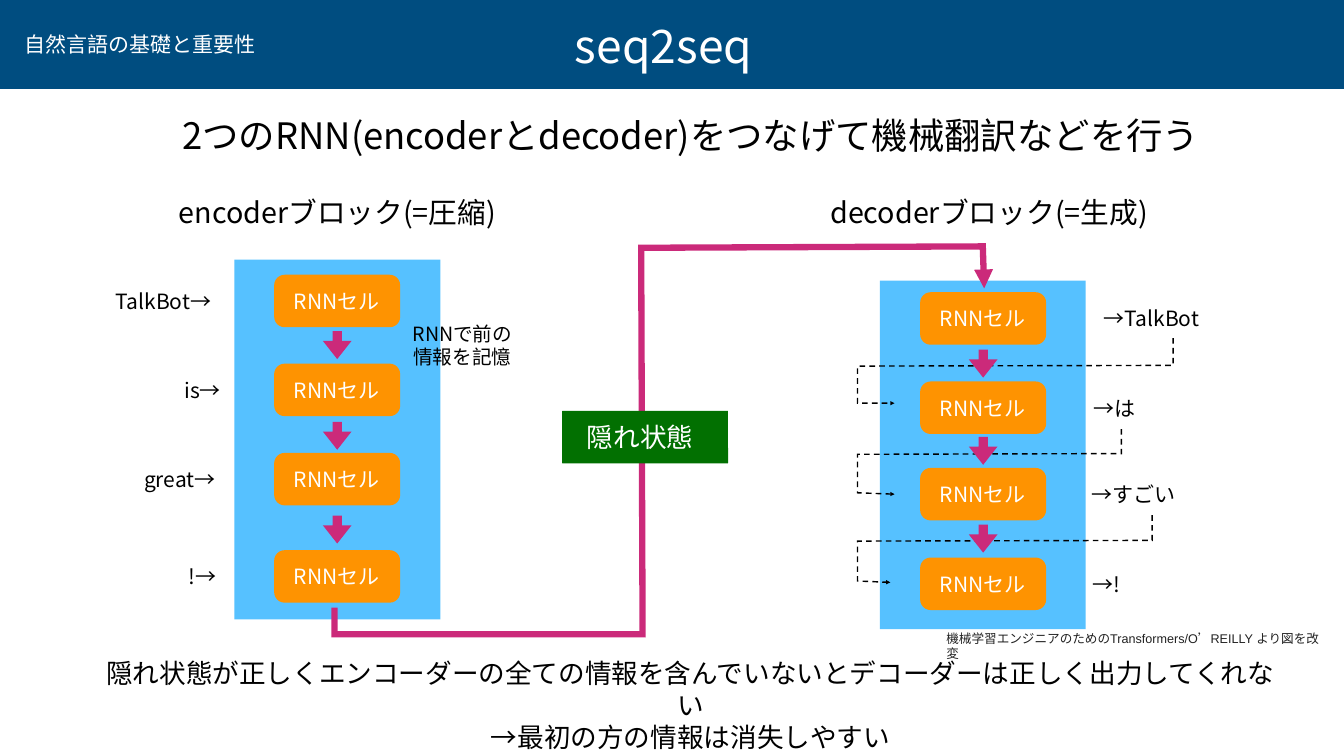
from dataclasses import dataclass
from typing import NamedTuple

from lxml import etree
from pptx import Presentation
from pptx import util as u
from pptx.dml.color import RGBColor
from pptx.enum import dml, shapes, text
from pptx.oxml import ns

Pt = u.Pt
Kind = shapes.MSO_SHAPE
Point = tuple[float, float]


@dataclass(frozen=True)
class Theme:
    navy: str = "004D80"
    sky: str = "56C1FF"
    orange: str = "FE9301"
    pink: str = "CB2A7A"
    green: str = "027001"
    white: str = "FFFFFF"
    black: str = "000000"
    gray: str = "222222"
    font: str = "Noto Sans CJK JP"
    plain: str = "Arial"
    title: float = 66
    lead: float = 52
    head: float = 41
    body: float = 38
    label: float = 30
    note: float = 28
    cite: float = 18


class Box(NamedTuple):
    x: float
    y: float
    w: float
    h: float


class Label(NamedTuple):
    x: float
    w: float
    words: str


@dataclass(frozen=True)
class Block:
    panel: Box
    left: float
    tops: list[float]
    arrows: list[float]
    labels: list[Label]
    loops: list[list[Point]]


T = Theme()
CELL_W, CELL_H = 180, 75
TEXT_H = 38
ARROW_W, ARROW_H = 40, 41


def draw_shape(slide, kind, box: Box, color: str, adjust=(), turn: float = 0):
    shape = slide.shapes.add_shape(kind, *map(Pt, box))
    shape.shadow.inherit = False
    shape.fill.solid()
    shape.fill.fore_color.rgb = RGBColor.from_string(color)
    shape.line.fill.background()
    for i, value in enumerate(adjust):
        shape.adjustments[i] = value
    shape.rotation = turn


def add_text(slide, box: Box, lines: list[str], size: float, color: str = T.black,
             wrap: bool = False, align=text.PP_ALIGN.CENTER, font: str = T.font):
    frame = slide.shapes.add_textbox(*map(Pt, box)).text_frame
    frame.word_wrap = wrap
    frame.auto_size = text.MSO_AUTO_SIZE.NONE
    frame.vertical_anchor = text.MSO_ANCHOR.MIDDLE
    frame.margin_left = frame.margin_right = Pt(4)
    frame.margin_top = frame.margin_bottom = Pt(4)
    for i, words in enumerate(lines):
        para = frame.add_paragraph() if i else frame.paragraphs[0]
        para.alignment = align
        run = para.add_run()
        run.text = words
        run.font.size = Pt(size)
        run.font.name = font
        run.font.color.rgb = RGBColor.from_string(color)
        east = etree.SubElement(run.font._element, ns.qn("a:ea"))
        east.set("typeface", T.font)


def draw_route(slide, points: list[Point], color: str, width: float, dash: bool = False):
    pen = slide.shapes.build_freeform(*points[0], scale=Pt(1))
    pen.add_line_segments(points[1:], close=False)
    route = pen.convert_to_shape()
    route.shadow.inherit = False
    route.fill.background()
    route.line.color.rgb = RGBColor.from_string(color)
    route.line.width = Pt(width)
    if dash:
        route.line.dash_style = dml.MSO_LINE.DASH
    line = route.line._get_or_add_ln()
    etree.SubElement(line, ns.qn("a:miter")).set("lim", "400000")
    etree.SubElement(line, ns.qn("a:tailEnd")).set("type", "triangle")


def draw_block(slide, block: Block):
    draw_shape(slide, Kind.RECTANGLE, block.panel, T.sky)
    for top, label in zip(block.tops, block.labels):
        cell = Box(block.left, top, CELL_W, CELL_H)
        draw_shape(slide, Kind.ROUNDED_RECTANGLE, cell, T.orange, [0.2])
        row = top + (CELL_H - TEXT_H) / 2
        add_text(slide, Box(block.left + 19, row, 141, TEXT_H), ["RNNセル"], T.label, T.white)
        add_text(slide, Box(label.x, row, label.w, TEXT_H), [label.words], T.label)
    for loop in block.loops:
        draw_route(slide, loop, T.black, 2, dash=True)
    mid = block.left + (CELL_W - ARROW_W) / 2
    for top in block.arrows:
        draw_shape(slide, Kind.RIGHT_ARROW, Box(mid, top, ARROW_W, ARROW_H), T.pink,
                   [0.32, 0.65], turn=90)


def make_loop(right: float, top: float, bend: float, end: float, tip: float = 1278.5) -> list[Point]:
    left = 1225
    return [(right, top), (right, bend), (left, bend + 1), (left, end - 1), (tip, end)]


ENCODER = Block(
    panel=Box(335, 371, 294, 514),
    left=391.7,
    tops=[392.5, 519.5, 647, 786],
    arrows=[472.5, 602, 736],
    labels=[Label(143, 181, "TalkBot→"), Label(257, 65, "is→"),
            Label(194, 126, "great→"), Label(265, 49, "!→")],
    loops=[],
)
DECODER = Block(
    panel=Box(1257, 401, 294, 498),
    left=1314.5,
    tops=[417.5, 545, 668.5, 796.5],
    arrows=[499, 623.5, 749],
    labels=[Label(1554.5, 181, "→TalkBot"), Label(1558, 69, "→は"),
            Label(1555, 129, "→すごい"), Label(1556.5, 49, "→!")],
    loops=[make_loop(1675.5, 483, 522, 576.5), make_loop(1602, 613, 648, 705.5),
           make_loop(1646.5, 736.5, 772, 831.5, 1271.5)],
)
STATE = [(478, 868), (478, 906), (918, 906.5), (916.5, 353.5), (1404, 351.5), (1406, 412)]


def main():
    deck = Presentation()
    deck.slide_width, deck.slide_height = Pt(1920), Pt(1080)
    slide = deck.slides.add_slide(deck.slide_layouts[6])

    draw_shape(slide, Kind.RECTANGLE, Box(0, 0, 1920, 127), T.navy)
    add_text(slide, Box(30, 44.5, 339, 38), ["自然言語の基礎と重要性"], T.label, T.white)
    add_text(slide, Box(792, 27, 312, 74), ["seq2seq"], T.title, T.white)
    add_text(slide, Box(206, 163, 1562, 60),
             ["2つのRNN(encoderとdecoder)をつなげて機械翻訳などを行う"], T.lead)

    draw_block(slide, ENCODER)
    draw_block(slide, DECODER)
    for left, words in [(232.5, "encoderブロック(=圧縮)"), (1163.5, "decoderブロック(=生成)")]:
        add_text(slide, Box(left, 278, 499, 50), [words], T.head, wrap=True)
    add_text(slide, Box(580, 454, 161, 78), ["RNNで前の", "情報を記憶"], T.note)

    draw_route(slide, STATE, T.pink, 9)
    draw_shape(slide, Kind.ROUNDED_RECTANGLE, Box(803, 587, 237, 75), T.green, [0.01])
    add_text(slide, Box(834, 601, 161, 46), ["隠れ状態"], T.body, T.white)

    add_text(slide, Box(132.5, 955, 1708, 103),
             ["隠れ状態が正しくエンコーダーの全ての情報を含んでいないとデコーダーは正しく出力してくれない",
              "→最初の方の情報は消失しやすい"], T.body, wrap=True)
    add_text(slide, Box(1348, 908, 544, 30),
             ["機械学習エンジニアのためのTransformers/O’REILLY より図を改変"],
             T.cite, T.gray, True, text.PP_ALIGN.LEFT, T.plain)

    deck.save("out.pptx")


if __name__ == "__main__":
    main()
